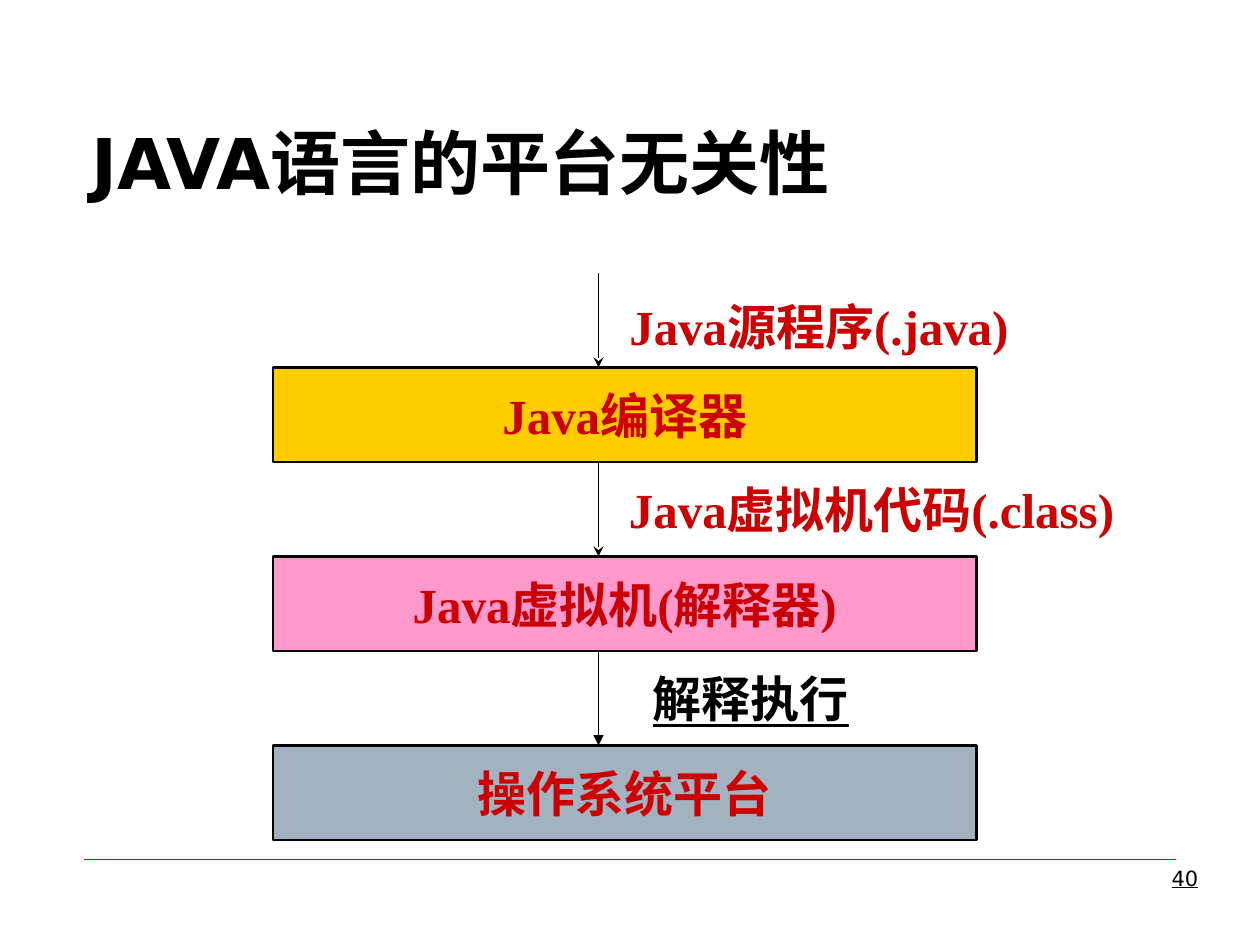
from lxml.etree import SubElement
from pptx import Presentation
from pptx.dml.color import RGBColor
from pptx.enum.shapes import MSO_CONNECTOR as Connector, MSO_SHAPE as Shape
from pptx.enum.text import MSO_ANCHOR as Anchor, MSO_AUTO_SIZE as AutoSize, PP_ALIGN as Align
from pptx.oxml.ns import qn
from pptx.util import Inches, Pt

BLACK = RGBColor(0x00, 0x00, 0x00)
RED = RGBColor(0xCC, 0x00, 0x00)
YELLOW = RGBColor(0xFF, 0xCC, 0x00)
PINK = RGBColor(0xFF, 0x99, 0xCC)
SLATE = RGBColor(0xA3, 0xB2, 0xC1)

SANS = "DejaVu Sans"
SERIF = "Times New Roman"
UNIT = Inches(1) / 12  # side of one grid cell: 120 columns by 90 rows


def cells(*counts):
    return [round(count * UNIT) for count in counts]


class FlowSlide:
    """Style and slide of a top-down flow; all lengths are in grid cells."""

    def __init__(self, presentation):
        self.slide = presentation.slides.add_slide(presentation.slide_layouts[5])
        self.shapes = self.slide.shapes

    def set_text(self, shape, text, size=28, font=SERIF, color=RED, bold=True,
                 underline=None, align=Align.CENTER, anchor=Anchor.MIDDLE, wrap=False):
        frame = shape.text_frame
        frame.text = text
        frame.auto_size = AutoSize.NONE
        frame.word_wrap = wrap
        frame.vertical_anchor = anchor
        paragraph = frame.paragraphs[0]
        paragraph.alignment = align
        for run in paragraph.runs:
            run.font.name, run.font.size = font, Pt(size)
            run.font.bold, run.font.underline = bold, underline
            run.font.color.rgb = color

    def title(self, text, left, top, width, height):
        title = self.shapes.title
        title.left, title.top, title.width, title.height = cells(left, top, width, height)
        self.set_text(title, text, size=40, font=SANS, color=BLACK,
                      align=Align.LEFT, anchor=Anchor.BOTTOM, wrap=True)

    def label(self, text, left, top, width, height, **style):
        box = self.shapes.add_textbox(*cells(left, top, width, height))
        self.set_text(box, text, **style)

    def stage(self, text, left, top, width, height, fill):
        stage = self.shapes.add_shape(Shape.RECTANGLE, *cells(left, top, width, height))
        stage.shadow.inherit = False
        stage.fill.solid()
        stage.fill.fore_color.rgb = fill
        stage.line.color.rgb = BLACK
        stage.line.width = Pt(1.5)
        self.set_text(stage, text)

    def line(self, x1, y1, x2, y2, color=BLACK, weight=1, head=None):
        line = self.shapes.add_connector(Connector.STRAIGHT, *cells(x1, y1, x2, y2))
        line.line.color.rgb = color
        line.line.width = Pt(weight)
        properties = line._element.spPr
        if head:
            SubElement(properties.find(qn("a:ln")), qn("a:tailEnd"), type=head)
        SubElement(properties, qn("a:effectLst"))


def main():
    presentation = Presentation()
    presentation.slide_width, presentation.slide_height = cells(120, 90)
    page = FlowSlide(presentation)

    page.line(8, 81.8, 112, 81.8, color=RED, weight=0.25)
    page.title("JAVA语言的平台无关性", 7.5, 4, 105, 16)

    # Each step: input label, label width, label colour, underline, arrowhead, stage, fill
    steps = [
        ("Java源程序(.java)", 36, RED, None, "stealth", "Java编译器", YELLOW),
        ("Java虚拟机代码(.class)", 46, RED, None, "stealth", "Java虚拟机(解释器)", PINK),
        ("解释执行", 23, BLACK, True, "triangle", "操作系统平台", SLATE),
    ]
    height = 9
    for index, (passed, width, color, underline, head, stage, fill) in enumerate(steps):
        top = 26 + index * 2 * height
        drop = 1 if index == 0 else 0  # the first label sits a cell lower
        page.line(57, top, 57, top + height, head=head)
        page.label(passed, 60, top + drop, width, height - drop,
                   color=color, underline=underline)
        page.stage(stage, 26, top + height, 67, height, fill)

    page.label("40", 89.3, 81.8, 26, 6.2, size=12, font=SANS, color=BLACK, bold=False,
               underline=True, align=Align.RIGHT, anchor=Anchor.TOP, wrap=True)
    presentation.save("out.pptx")


if __name__ == "__main__":
    main()
